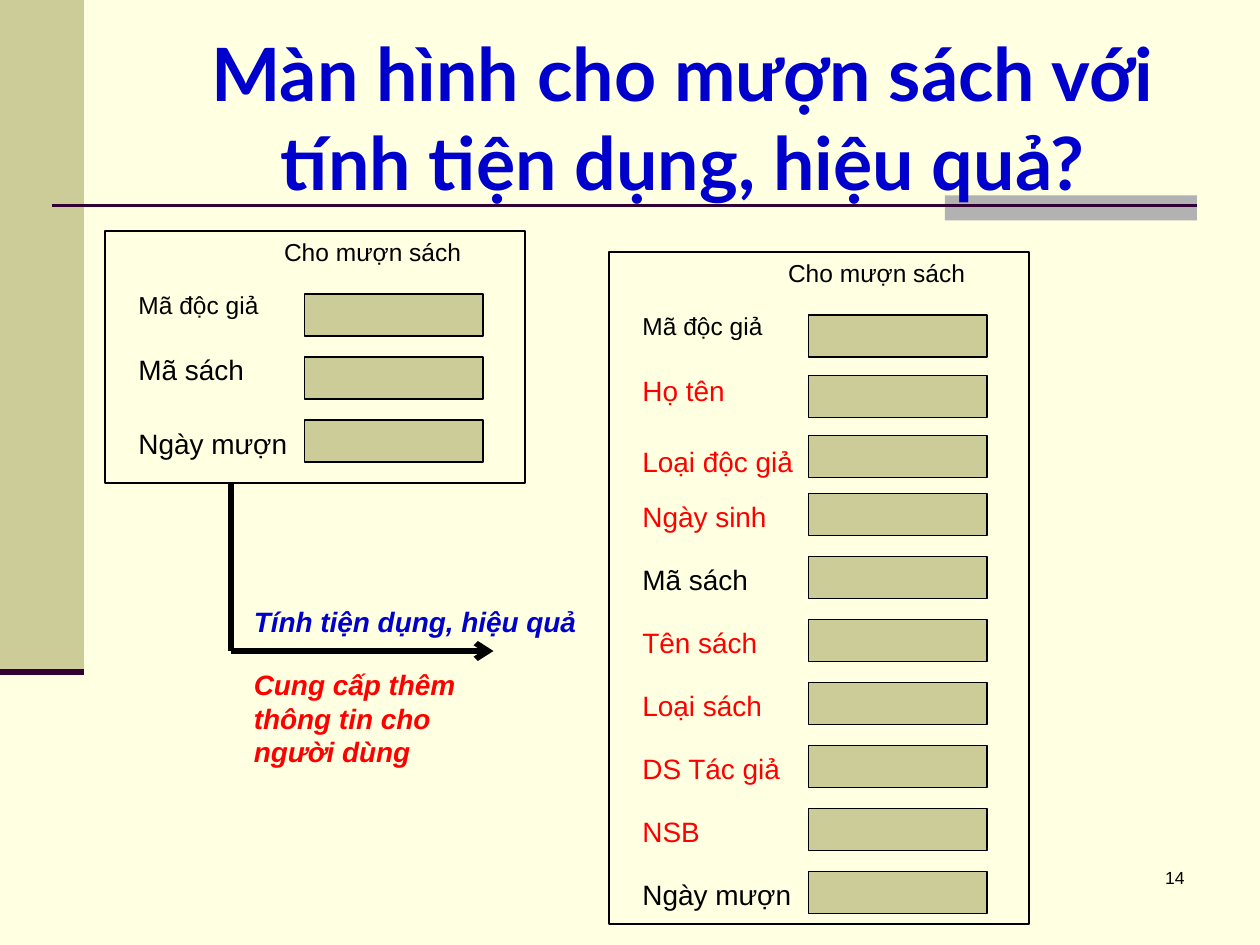
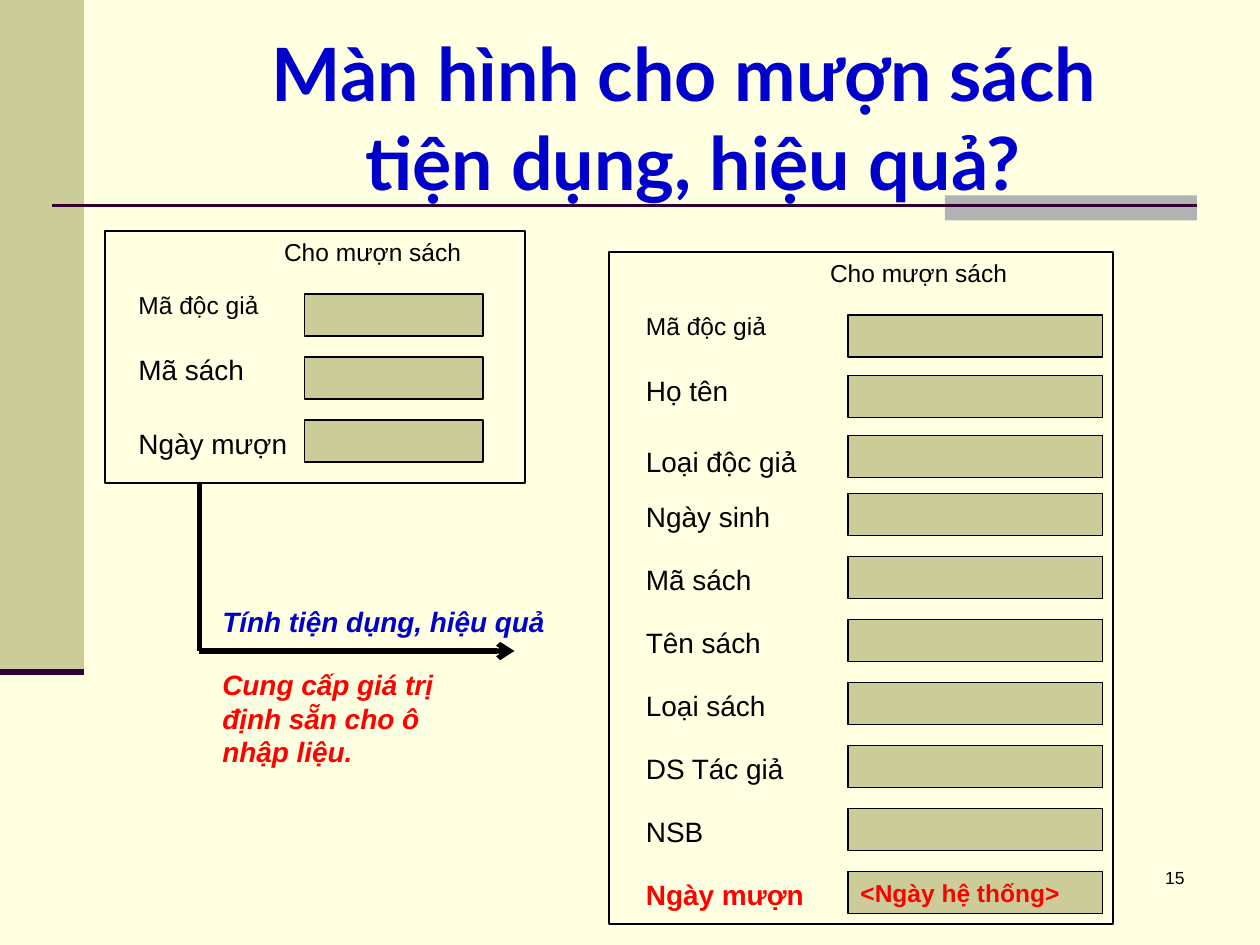
import pptx
import pptx.util
import pptx.dml.color
import pptx.enum.shapes
import pptx.enum.text
import pptx.oxml.ns
from lxml import etree

Pt = pptx.util.Pt
RGB = pptx.dml.color.RGBColor
ALIGN = pptx.enum.text.PP_ALIGN
ANCHOR = pptx.enum.text.MSO_ANCHOR

# Colours
CREAM = RGB(0xFF, 0xFF, 0xE1)
KHAKI = RGB(0xCC, 0xCC, 0x99)
GREY = RGB(0xB2, 0xB2, 0xB2)
PLUM = RGB(0x33, 0x00, 0x33)
BLUE = RGB(0x00, 0x00, 0xCC)
RED = RGB(0xFF, 0x00, 0x00)
BLACK = RGB(0x00, 0x00, 0x00)

# Text formats
TITLE = {"name": "Lato", "size": Pt(42), "bold": True}
PAGE_NUMBER = {"name": "Arial", "size": Pt(10)}
SMALL = {"name": "Arial", "size": Pt(14)}
SMALL_BOLD = {**SMALL, "bold": True}
LABEL = {"name": "Arial", "size": Pt(16)}
LABEL_BOLD = {**LABEL, "bold": True}
CALLOUT = {**LABEL_BOLD, "italic": True}

# Forms: row offsets are measured from the top of the form
FORM_HEADING = "Cho mượn sách"
HEADING_INSET = 73
FIELD_HEIGHT = 24
ROW_STEP = 36
EVEN_ROWS = [138 + ROW_STEP * row for row in range(7)]
SHORT_ROWS = {"label_tops": [30, 66, 108], "field_tops": [36, 72, 108]}
LONG_ROWS = {"label_tops": [30, 66, 106.6] + EVEN_ROWS,
             "field_tops": [36, 70.6, 105] + EVEN_ROWS}
SHORT_LABELS = ["Mã độc giả", "Mã sách", "Ngày mượn"]
LONG_LABELS = ["Mã độc giả", "Họ tên", "Loại độc giả", "Ngày sinh", "Mã sách",
               "Tên sách", "Loại sách", "DS Tác giả", "NSB", "Ngày mượn"]
SHORT_FORM = {"box": (60, 132, 240, 168), "label_x": 12, "label_width": 126,
              "field_x": 114, "field_width": 102, **SHORT_ROWS}
SHORT_FORM["box"] = (60, 132, 240, 144)
LONG_FORM = {**SHORT_FORM, "box": (348, 144, 240, 384), **LONG_ROWS}
WIDE_FORM = {"box": (348, 144, 288, 384), "label_x": 14, "label_width": 151,
             "field_x": 136.6, "field_width": 145.4, **LONG_ROWS}


def write(shape, text, style, color=BLACK, align=ALIGN.LEFT, anchor=ANCHOR.TOP):
    frame = shape.text_frame
    frame.word_wrap = True
    frame.vertical_anchor = anchor
    paragraph = frame.paragraphs[0]
    paragraph.text = text
    paragraph.alignment = align
    for attribute, value in style.items():
        setattr(paragraph.font, attribute, value)
    paragraph.font.color.rgb = color


def add_text(shapes, box, text, style, **layout):
    write(shapes.add_textbox(*map(Pt, box)), text, style, **layout)


def add_box(shapes, box, fill=None, outline=None):
    rectangle = shapes.add_shape(
        pptx.enum.shapes.MSO_SHAPE.RECTANGLE, *map(Pt, box))
    rectangle.shadow.inherit = False
    if fill is None:
        rectangle.fill.background()
    else:
        rectangle.fill.solid()
        rectangle.fill.fore_color.rgb = fill
    if outline is None:
        rectangle.line.fill.background()
    else:
        rectangle.line.color.rgb = outline
        rectangle.line.width = Pt(0.75)
    return rectangle


def add_line(shapes, start, end, color, width, arrow=False):
    line = shapes.add_connector(
        pptx.enum.shapes.MSO_CONNECTOR.STRAIGHT, *map(Pt, start + end))
    line.line.color.rgb = color
    line.line.width = Pt(width)
    qn = pptx.oxml.ns.qn
    if arrow:
        etree.SubElement(line.line._get_or_add_ln(), qn("a:tailEnd"), type="arrow")
    etree.SubElement(line._element.spPr, qn("a:effectLst"))


def add_frame(slide, title, title_width, number):
    """Bands, rules, title and page number found on every slide."""
    shapes = slide.shapes
    add_box(shapes, (0, 0, 48, 384), KHAKI)
    add_box(shapes, (540, 111.6, 144, 14.4), GREY)
    add_line(shapes, (30, 117.6), (684, 117.6), PLUM, 1.5)
    add_line(shapes, (0, 384), (48, 384), PLUM, 3.5)
    add_text(shapes, (72, 21.6, title_width, 90), title, TITLE,
             color=BLUE, align=ALIGN.CENTER, anchor=ANCHOR.MIDDLE)
    add_text(shapes, (534, 492, 150, 36), str(number), PAGE_NUMBER,
             align=ALIGN.RIGHT)


def add_form(slide, form, labels, red_labels=(), default_date=None):
    """Outlined entry screen with one label and one field per row."""
    shapes = slide.shapes.add_group_shape().shapes
    left, top = form["box"][:2]
    screen = add_box(shapes, form["box"], outline=BLACK)
    write(screen, FORM_HEADING, SMALL, align=ALIGN.CENTER)
    screen.text_frame.margin_left = Pt(HEADING_INSET)

    rows = zip(labels, form["label_tops"], form["field_tops"])
    for row, (label, label_top, field_top) in enumerate(rows):
        is_last = row == len(labels) - 1
        style = SMALL if row == 0 else LABEL
        if default_date and is_last:
            style = LABEL_BOLD
        add_text(shapes, (left + form["label_x"], top + label_top,
                          form["label_width"], 26.6), label, style,
                 color=RED if label in red_labels else BLACK)
        field = add_box(shapes, (left + form["field_x"], top + field_top,
                                 form["field_width"], FIELD_HEIGHT), KHAKI, BLACK)
        if default_date and is_last:
            write(field, default_date, SMALL_BOLD, color=RED)


def add_improvement(slide, stem_x, tip_x, width, advice):
    """Bent arrow from the short form, with the quality gained and how."""
    shapes = slide.shapes
    corner = (stem_x, 372)
    add_line(shapes, (stem_x, 276), corner, BLACK, width)
    add_line(shapes, corner, (tip_x, 372), BLACK, width, arrow=True)
    add_text(shapes, (stem_x + 6, 342, 208, 26.6), "Tính tiện dụng, hiệu quả",
             CALLOUT, color=BLUE)
    add_text(shapes, (stem_x + 6, 378, 144, 65.5), advice, CALLOUT, color=RED)


def main():
    deck = pptx.Presentation()
    deck.slide_width, deck.slide_height = Pt(720), Pt(540)
    background = deck.slide_master.background.fill
    background.solid()
    background.fore_color.rgb = CREAM
    blank = deck.slide_layouts[6]

    # More information for the user
    more_info = deck.slides.add_slide(blank)
    add_frame(more_info, "Màn hình cho mượn sách với tính tiện dụng, hiệu quả?",
              636, 14)
    add_form(more_info, SHORT_FORM, SHORT_LABELS)
    add_improvement(more_info, 132, 282, 3.25,
                    "Cung cấp thêm thông tin cho người dùng")
    add_form(more_info, LONG_FORM, LONG_LABELS,
             red_labels=set(LONG_LABELS) - set(SHORT_LABELS))

    # Default value in an entry field
    default_value = deck.slides.add_slide(blank)
    add_frame(default_value, "Màn hình cho mượn sách \vtiện dụng, hiệu quả?",
              648, 15)
    add_form(default_value, SHORT_FORM, SHORT_LABELS)
    add_improvement(default_value, 114, 294, 3,
                    "Cung cấp giá trị định sẵn cho ô nhập liệu.")
    add_form(default_value, WIDE_FORM, LONG_LABELS, red_labels={"Ngày mượn"},
             default_date="<Ngày hệ thống>")

    deck.save("out.pptx")


if __name__ == "__main__":
    main()
